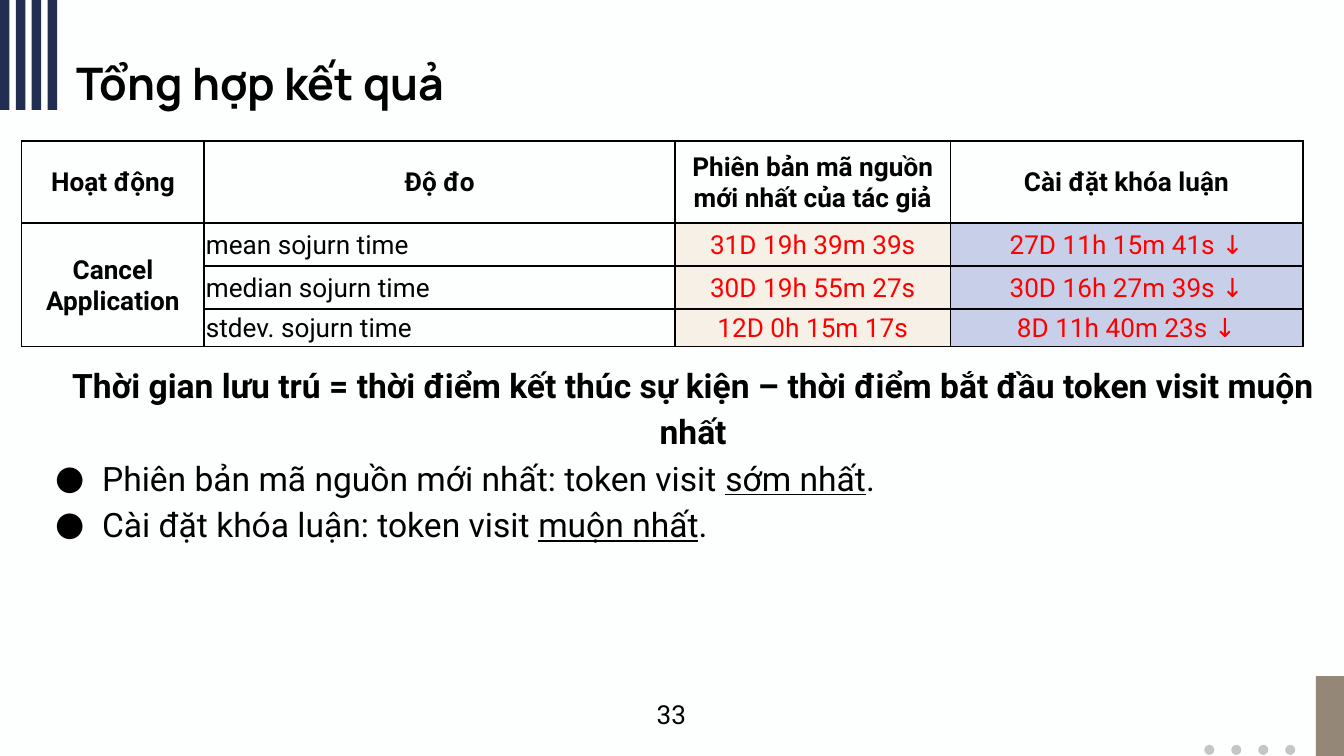
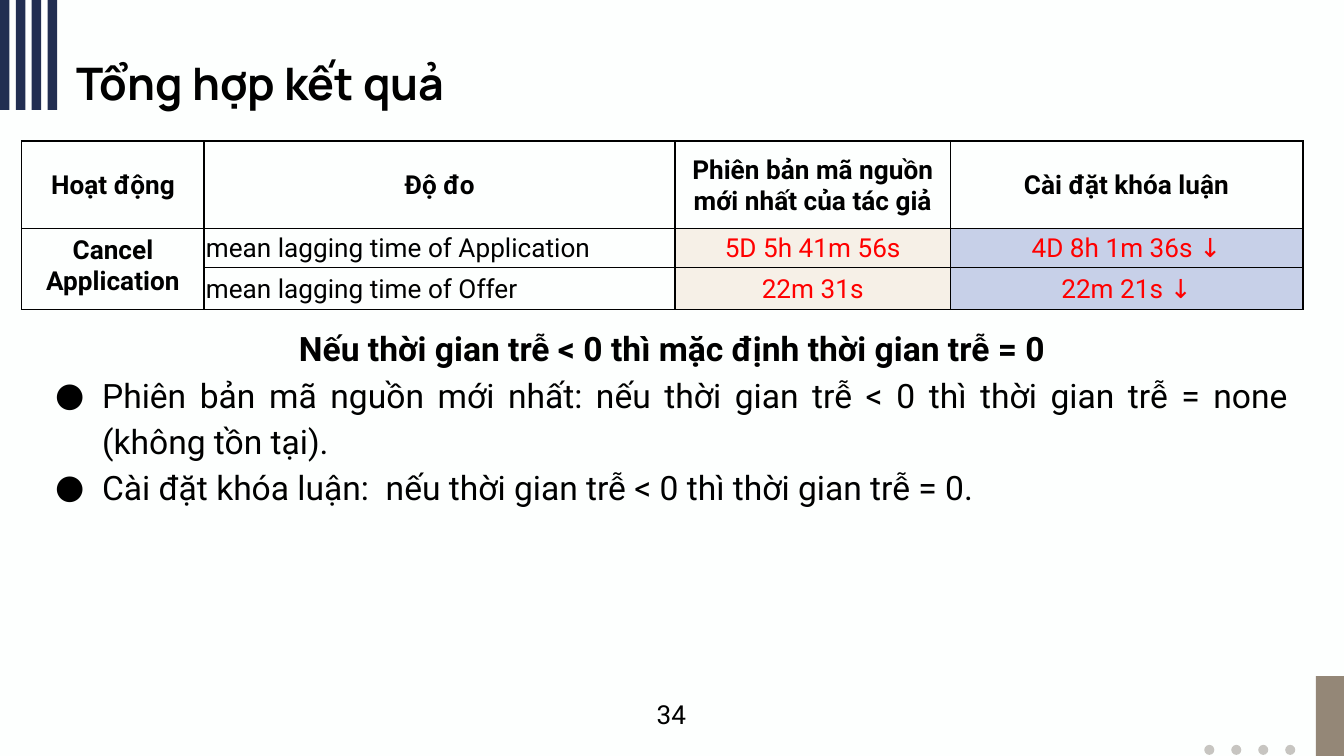
import pptx
import pptx.util
import pptx.dml.color
import pptx.enum.shapes
import pptx.enum.text
import pptx.oxml.ns
from lxml import etree

Cm, Pt = pptx.util.Cm, pptx.util.Pt
rgb = pptx.dml.color.RGBColor.from_string
qn = pptx.oxml.ns.qn
SHAPE = pptx.enum.shapes.MSO_SHAPE
ALIGN = pptx.enum.text.PP_ALIGN
ANCHOR = pptx.enum.text.MSO_ANCHOR

PAPER, BLACK, RED = "FDFFFE", "000000", "FF0000"
NAVY, GREY, BROWN = "212E51", "C7C5C1", "948777"
CREAM, BLUE = "F6F0E7", "C7D0E8"
TITLE = "Tổng hợp kết quả"
HEADER = ["Hoạt động", "Độ đo", "Phiên bản mã nguồn mới nhất của tác giả", "Cài đặt khóa luận"]
ACTIVITY = "Cancel Application"
COL_WIDTHS = [3.45, 8.9, 5.2, 6.66]

# Underscores in the points enclose underlined words
slides = [
    dict(number="33", row_heights=[1.55, 0.81, 0.81, 0.71], activity_anchor=ANCHOR.MIDDLE,
         rows=[["mean sojurn time", "31D 19h 39m 39s", "27D 11h 15m 41s ↓"],
               ["median sojurn time", "30D 19h 55m 27s", "30D 16h 27m 39s ↓"],
               ["stdev. sojurn time", "12D 0h 15m 17s", "8D 11h 40m 23s ↓"]],
         body=(6.53, 25, 5.1),
         headline="Thời gian lưu trú = thời điểm kết thúc sự kiện – "
                  "thời điểm bắt đầu token visit muộn nhất",
         points=["Phiên bản mã nguồn mới nhất: token visit _sớm nhất_.",
                 "Cài đặt khóa luận: token visit _muộn nhất_."]),
    dict(number="34", row_heights=[1.65, 0.74, 0.79], activity_anchor=ANCHOR.TOP,
         rows=[["mean lagging time of Application", "5D 5h 41m 56s", "4D 8h 1m 36s ↓"],
               ["mean lagging time of Offer", "22m 31s", "22m 21s ↓"]],
         body=(5.84, 24.2, 3.96),
         headline="Nếu thời gian trễ < 0 thì mặc định thời gian trễ = 0",
         points=["Phiên bản mã nguồn mới nhất: nếu thời gian trễ < 0 thì "
                 "thời gian trễ = none (không tồn tại).",
                 "Cài đặt khóa luận:  nếu thời gian trễ < 0 thì thời gian trễ = 0."]),
]


def add_block(s, kind, left, top, width, height, color):
    sp = s.shapes.add_shape(kind, Cm(left), Cm(top), Cm(width), Cm(height))
    sp.shadow.inherit = False
    sp.fill.solid()
    sp.fill.fore_color.rgb = rgb(color)
    sp.line.fill.background()


def format_runs(p, size, align, bold=False, color=BLACK, font="Roboto"):
    p.alignment = align
    for r in p.runs:
        r.font.name, r.font.size, r.font.bold = font, Pt(size), bold
        r.font.color.rgb = rgb(color)


prs = pptx.Presentation()
prs.slide_width, prs.slide_height = Cm(25.4), Cm(14.29)
prs.slide_master.background.fill.solid()
prs.slide_master.background.fill.fore_color.rgb = rgb(PAPER)

for data in slides:
    s = prs.slides.add_slide(prs.slide_layouts[1])
    title, body = s.placeholders

    # Corner decorations
    for i in range(4):
        add_block(s, SHAPE.RECTANGLE, 0.3 * i, 0, 0.18, 2.08, NAVY)
        add_block(s, SHAPE.OVAL, 22.76 + 0.51 * i, 14.08, 0.19, 0.19, GREY)
    add_block(s, SHAPE.RECTANGLE, 24.87, 12.78, 0.53, 1.51, BROWN)

    # Title and body frames
    top, width, height = data["body"]
    for sp, box in [(title, (0.81, 0.81, 12.57, 1.6)), (body, (0.41, top, width, height))]:
        sp.left, sp.top, sp.width, sp.height = [Cm(v) for v in box]
        tf = sp.text_frame
        tf.word_wrap = True
        tf.auto_size = pptx.enum.text.MSO_AUTO_SIZE.NONE
        tf.vertical_anchor = ANCHOR.TOP
        tf.margin_left = tf.margin_right = tf.margin_top = tf.margin_bottom = Cm(0.25)
    title.text_frame.text = TITLE
    p = title.text_frame.paragraphs[0]
    p._p.get_or_add_pPr().set("marL", str(Cm(0.38)))
    format_runs(p, 24, ALIGN.LEFT, bold=True, font="Manrope")

    # Headline and bulleted points
    tf = body.text_frame
    for i, text in enumerate([data["headline"]] + data["points"]):
        p = tf.paragraphs[0] if i == 0 else tf.add_paragraph()
        pPr = p._p.get_or_add_pPr()
        pPr.set("marL", str(Cm(1.27 if i else 0.38)))
        pPr.set("indent", str(Cm(-0.89 if i else 0)))
        if i:
            color = etree.SubElement(pPr, qn("a:buClr"))
            etree.SubElement(color, qn("a:srgbClr"), val=BLACK)
            etree.SubElement(pPr, qn("a:buFont"), typeface="Roboto")
            etree.SubElement(pPr, qn("a:buChar"), char="●")
        else:
            etree.SubElement(pPr, qn("a:buNone"))
        p.line_spacing, p.space_before = 1.15, Pt(0)
        for j, part in enumerate(text.split("_")):
            r = p.add_run()
            r.text = part
            if j % 2:
                r.font.underline = True
        format_runs(p, 18, ALIGN.JUSTIFY if i else ALIGN.CENTER, bold=i == 0)

    # Results table
    heights = data["row_heights"]
    table = s.shapes.add_table(len(heights), 4, Cm(0.41), Cm(2.67),
                               Cm(sum(COL_WIDTHS)), Cm(sum(heights))).table
    table.first_row = table.horz_banding = False
    for column, w in zip(table.columns, COL_WIDTHS):
        column.width = Cm(w)
    for row, h in zip(table.rows, heights):
        row.height = Cm(h)
    grid = [HEADER] + [[ACTIVITY if i == 0 else ""] + row for i, row in enumerate(data["rows"])]
    for i, row in enumerate(grid):
        for j, text in enumerate(row):
            cell = table.cell(i, j)
            cell.text = text
            cell.vertical_anchor = ANCHOR.MIDDLE
            cell.margin_left = cell.margin_right = cell.margin_top = Cm(0.03)
            cell.margin_bottom = 0
            tcPr = cell._tc.get_or_add_tcPr()
            for side in ("a:lnL", "a:lnR", "a:lnT", "a:lnB"):
                ln = etree.SubElement(tcPr, qn(side), w=str(Pt(1)))
                fill = etree.SubElement(ln, qn("a:solidFill"))
                etree.SubElement(fill, qn("a:srgbClr"), val=BLACK)
            value = i > 0 and j > 1
            if i == 0 or value:
                cell.fill.solid()
                cell.fill.fore_color.rgb = rgb([PAPER, PAPER, CREAM, BLUE][j] if value else PAPER)
            else:
                cell.fill.background()
            format_runs(cell.text_frame.paragraphs[0], 14,
                        ALIGN.LEFT if i and j == 1 else ALIGN.CENTER,
                        bold=i == 0 or j == 0, color=RED if value else BLACK)
    activity = table.cell(1, 0)
    activity.merge(table.cell(len(heights) - 1, 0))
    activity.vertical_anchor = data["activity_anchor"]
    if data["activity_anchor"] == ANCHOR.TOP:
        activity.margin_left = activity.margin_right = Cm(0.25)
        activity.margin_top = activity.margin_bottom = Cm(0.13)

    # Page number
    tf = s.shapes.add_textbox(Cm(11.99), Cm(13.06), Cm(1.4), Cm(0.86)).text_frame
    tf.word_wrap = True
    tf.vertical_anchor = ANCHOR.MIDDLE
    tf.text = data["number"]
    format_runs(tf.paragraphs[0], 14, ALIGN.CENTER)

prs.save("out.pptx")
